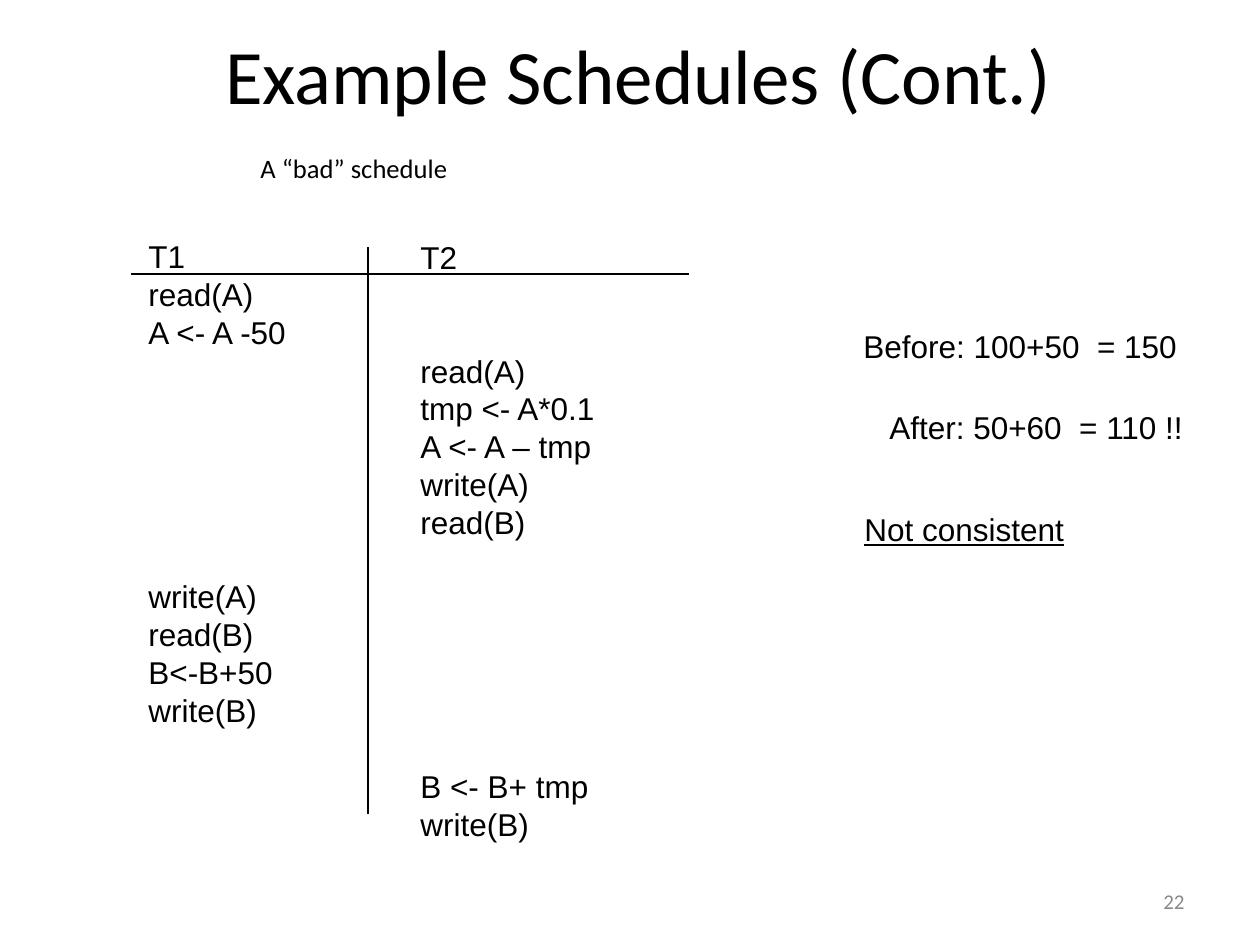
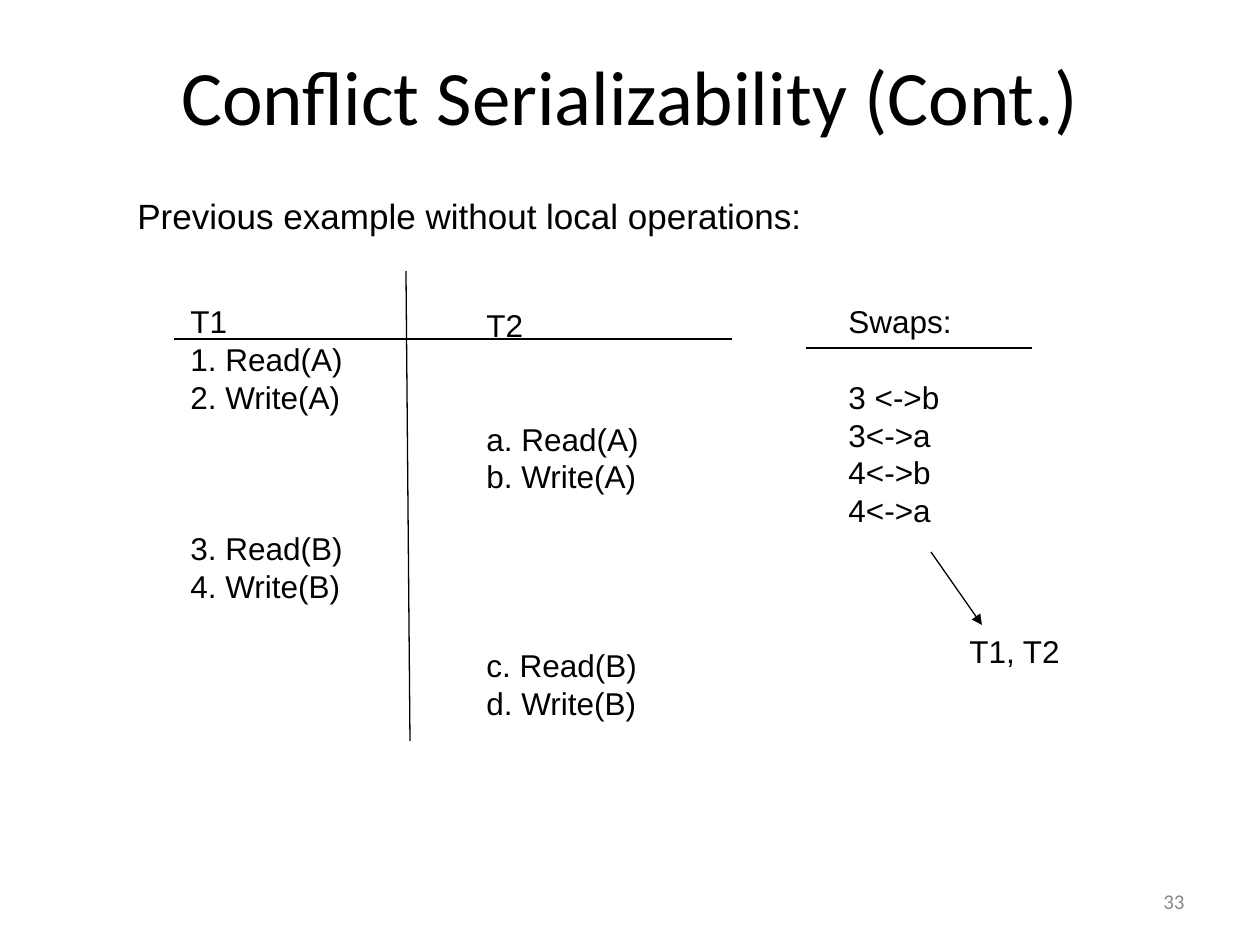
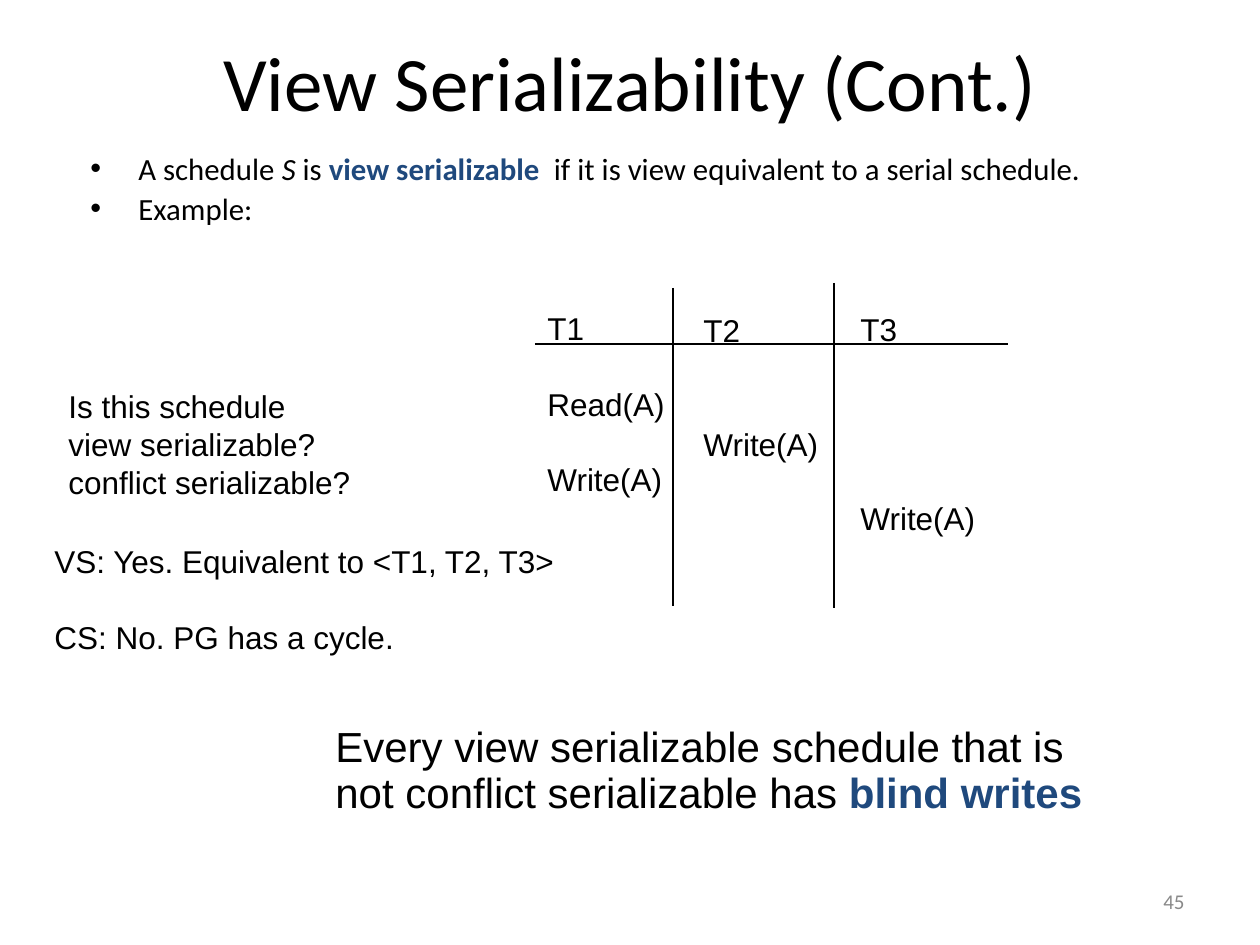
from dataclasses import dataclass

from lxml import etree
from pptx import Presentation
from pptx.dml.color import RGBColor
from pptx.enum.shapes import MSO_CONNECTOR
from pptx.enum.text import MSO_ANCHOR, MSO_AUTO_SIZE, PP_ALIGN
from pptx.oxml.ns import qn
from pptx.util import Emu, Pt

EMU_PER_PX = 914400 / 126
TITLE_ONLY = 5


@dataclass(frozen=True)
class Theme:
    ink: str = "000000"
    accent: str = "1F497D"
    muted: str = "898989"
    heading_font: str = "Calibri"
    body_font: str = "Arial"
    title_size: float = 44
    claim_size: float = 24
    lead_size: float = 20
    text_size: float = 18
    bullet_size: float = 17.6
    caption_size: float = 15.2
    number_size: float = 12
    line_pitch: float = 21.6
    claim_pitch: float = 26.2
    rule_width: float = 0.75


THEME = Theme()
KEY_TERM = {"bold": True, "color": THEME.accent}


def px(length):
    return Emu(round(length * EMU_PER_PX))


def apply(target, values):
    for name, value in values.items():
        setattr(target, name, value)


class Deck:
    """Holds the theme and the slide being filled; lengths are px."""

    def __init__(self, theme):
        self.theme = theme
        self.prs = Presentation()
        self.prs.slide_width, self.prs.slide_height = px(1260), px(945)
        self.slide = None

    def new_slide(self, title, title_box, number):
        theme = self.theme
        self.slide = self.prs.slides.add_slide(self.prs.slide_layouts[TITLE_ONLY])
        heading = self.slide.shapes.title
        apply(heading, dict(zip(("left", "top", "width", "height"), map(px, title_box))))
        apply(heading.text_frame, {"vertical_anchor": MSO_ANCHOR.MIDDLE, "word_wrap": True})
        self.fill(heading.text_frame.paragraphs[0], title,
                  {"size": theme.title_size, "name": theme.heading_font},
                  {"alignment": PP_ALIGN.CENTER})
        self.text((903, 876, 294, 50), [number],
                  {"size": theme.number_size, "name": theme.heading_font, "color": theme.muted},
                  {"alignment": PP_ALIGN.RIGHT}, MSO_ANCHOR.MIDDLE)

    def fill(self, paragraph, content, font=None, layout=None):
        """Content is a string or a list of (string, font changes) runs."""
        apply(paragraph, layout or {})
        base = {"size": self.theme.text_size, "name": self.theme.body_font,
                "color": self.theme.ink, **(font or {})}
        runs = [(content, {})] if isinstance(content, str) else content
        for words, changes in runs:
            run = paragraph.add_run()
            run.text = words
            values = {**base, **changes}
            run.font.color.rgb = RGBColor.from_string(values.pop("color"))
            values["size"] = Pt(values["size"])
            apply(run.font, values)

    def text(self, box, contents, font=None, layout=None, anchor=MSO_ANCHOR.TOP):
        frame = self.slide.shapes.add_textbox(*map(px, box)).text_frame
        apply(frame, {"word_wrap": True, "auto_size": MSO_AUTO_SIZE.NONE,
                      "vertical_anchor": anchor})
        for index, content in enumerate(contents):
            paragraph = frame.add_paragraph() if index else frame.paragraphs[0]
            self.fill(paragraph, content, font, layout)
        return frame

    def rows(self, left, top, width, blocks):
        """Blocks map a starting row to its lines; skipped rows become spacing."""
        pitch = self.theme.line_pitch
        placed = [(start + offset, line) for start, lines in blocks.items()
                  for offset, line in enumerate(lines)]
        height = round((placed[-1][0] + 1) * pitch * 126 / 72) + 13
        frame = self.text((left, top, width, height), [line for _, line in placed],
                          layout={"line_spacing": Pt(pitch)})
        for paragraph, (before, _), (row, _) in zip(frame.paragraphs[1:], placed, placed[1:]):
            paragraph.space_before = Pt(round((row - before - 1) * pitch, 1))

    def bullets(self, box, contents):
        frame = self.text(box, contents,
                          {"size": self.theme.bullet_size, "name": self.theme.heading_font},
                          {"line_spacing": 0.7, "space_before": Pt(8)})
        for paragraph in frame.paragraphs:
            properties = paragraph._p.get_or_add_pPr()
            properties.set("marL", str(px(48)))
            properties.set("indent", str(px(-48)))
            etree.SubElement(properties, qn("a:buFont"), typeface=self.theme.body_font)
            etree.SubElement(properties, qn("a:buChar"), char="•")

    def rule(self, x1, y1, x2, y2, arrow=False):
        line = self.slide.shapes.add_connector(MSO_CONNECTOR.STRAIGHT, *map(px, (x1, y1, x2, y2)))
        line.line.color.rgb = RGBColor.from_string(self.theme.ink)
        line.line.width = Pt(self.theme.rule_width)
        if arrow:
            etree.SubElement(line.line._get_or_add_ln(), qn("a:tailEnd"), type="triangle")
        etree.SubElement(line._element.spPr, qn("a:effectLst"))


def bad_schedule(deck):
    deck.new_slide("Example Schedules (Cont.)", (82, 11, 1113, 125), "22")
    deck.text((248, 146, 400, 50), ["A “bad” schedule"],
              {"size": THEME.caption_size, "name": THEME.heading_font})

    # Totals before and after
    deck.rows(851, 321, 360, {0: ["Before: 100+50  = 150"]})
    deck.rows(877, 402, 340, {0: ["After: 50+60  = 110 !!"]})
    deck.text((852, 504, 240, 50), [[("Not consistent", {"underline": True})]],
              layout={"line_spacing": Pt(THEME.line_pitch)})

    # Interleaved transactions
    deck.rows(136, 231, 180, {0: ["T1", "read(A)", "A <- A -50"],
                              9: ["write(A)", "read(B)", "B<-B+50", "write(B)"]})
    deck.rows(408, 232, 220, {0: ["T2"],
                              3: ["read(A)", "tmp <- A*0.1", "A <- A – tmp",
                                  "write(A)", "read(B)"],
                              14: ["B <- B+ tmp", "write(B)"]})
    deck.rule(131, 274, 689, 274)
    deck.rule(368, 247, 368, 814)


def conflict_serializability(deck):
    deck.new_slide("Conflict Serializability (Cont.)", (63, 21, 1134, 147), "33")
    deck.text((125, 188, 720, 55), ["Previous example without local operations:"],
              {"size": THEME.lead_size}, {"line_spacing": Pt(24)})

    # Numbered operations
    deck.rows(178, 296, 200, {0: ["T1", "1. Read(A)", "2. Write(A)"],
                              6: ["3. Read(B)", "4. Write(B)"]})
    deck.rows(474, 300, 200, {0: ["T2"],
                              3: ["a. Read(A)", "b. Write(A)"],
                              9: ["c. Read(B)", "d. Write(B)"]})
    deck.rule(174, 339, 732, 339)
    deck.rule(406, 271, 410, 741)

    # Swaps and the serial order they lead to
    deck.rows(836, 296, 160, {0: ["Swaps:"], 2: ["3 <->b", "3<->a", "4<->b", "4<->a"]})
    deck.rule(806, 348, 1032, 348)
    deck.rule(931, 552, 982, 625, arrow=True)
    deck.rows(957, 626, 140, {0: ["T1, T2"]})


def view_serializability(deck):
    deck.new_slide("View Serializability (Cont.)", (63, 21, 1134, 120), "45")
    deck.bullets((78, 154, 1081, 146), [
        [("A schedule ", {}), ("S", {"italic": True}), (" is ", {}),
         ("view serializable ", KEY_TERM),
         (" if it is view equivalent to a serial schedule.", {})],
        "Example:",
    ])

    # Three transactions
    deck.rows(535, 303, 160, {0: ["T1"], 2: ["Read(A)"], 4: ["Write(A)"]})
    deck.rows(691, 305, 160, {0: ["T2"], 3: ["Write(A)"]})
    deck.rows(848, 304, 160, {0: ["T3"], 5: ["Write(A)"]})
    deck.rule(673, 288, 673, 606)
    deck.rule(834, 283, 834, 608)
    deck.rule(535, 344, 1008, 344)

    # Question, answers and conclusion
    deck.rows(56, 381, 330, {0: ["Is this schedule", "view serializable?",
                                 "conflict serializable?"]})
    deck.rows(42, 536, 550, {0: ["VS: Yes. Equivalent to <T1, T2, T3>"],
                             2: ["CS: No. PG has a cycle."]})
    deck.text((323, 719, 811, 154),
              [[("Every view serializable schedule that is not conflict serializable has ", {}),
                ("blind writes", KEY_TERM)]],
              {"size": THEME.claim_size}, {"line_spacing": Pt(THEME.claim_pitch)})


def main():
    deck = Deck(THEME)
    for build in (bad_schedule, conflict_serializability, view_serializability):
        build(deck)
    deck.prs.save("out.pptx")


if __name__ == "__main__":
    main()
